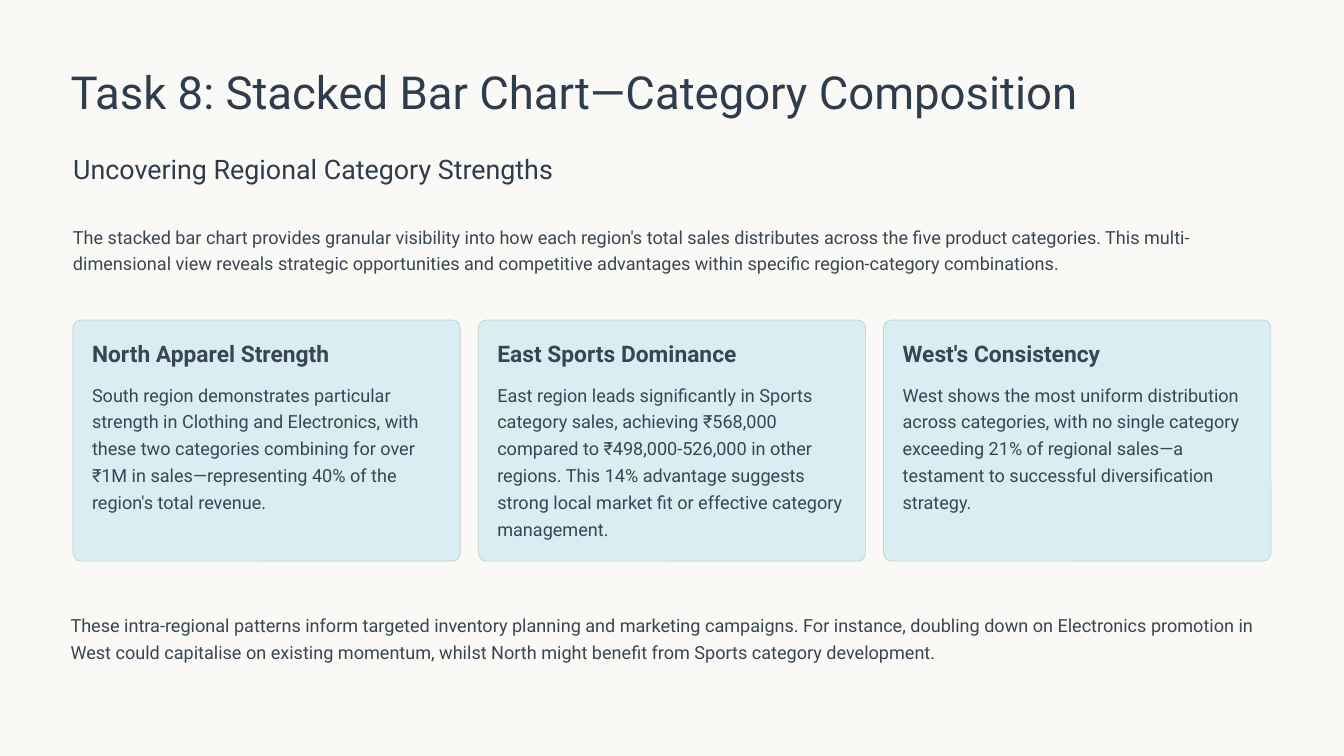
from pptx import Presentation
from pptx.dml.color import RGBColor
from pptx.enum.shapes import MSO_SHAPE
from pptx.enum.text import MSO_ANCHOR, MSO_AUTO_SIZE, PP_ALIGN
from pptx.util import Pt

FONT = "Roboto"
CREAM = RGBColor(0xFA, 0xF9, 0xF5)
NAVY = RGBColor(0x2E, 0x3C, 0x4E)
SLATE = RGBColor(0x38, 0x46, 0x53)
PALE_BLUE = RGBColor(0xD9, 0xED, 0xF2)
BORDER_BLUE = RGBColor(0xBF, 0xD3, 0xD8)

TITLE = "Task 8: Stacked Bar Chart—Category Composition"
SUBTITLE = "Uncovering Regional Category Strengths"
INTRO = (
    "The stacked bar chart provides granular visibility into how each region's total sales "
    "distributes across the five product categories. This multi-dimensional view reveals "
    "strategic opportunities and competitive advantages within specific region-category "
    "combinations."
)
CARDS = [
    ("North Apparel Strength",
     "South region demonstrates particular strength in Clothing and Electronics, with these "
     "two categories combining for over ₹1M in sales—representing 40% of the region's total "
     "revenue."),
    ("East Sports Dominance",
     "East region leads significantly in Sports category sales, achieving ₹568,000 compared "
     "to ₹498,000-526,000 in other regions. This 14% advantage suggests strong local market "
     "fit or effective category management."),
    ("West's Consistency",
     "West shows the most uniform distribution across categories, with no single category "
     "exceeding 21% of regional sales—a testament to successful diversification strategy."),
]
CLOSING = (
    "These intra-regional patterns inform targeted inventory planning and marketing campaigns. "
    "For instance, doubling down on Electronics promotion in West could capitalise on existing "
    "momentum, whilst North might benefit from Sports category development."
)


def write_text(shape, box, text, size, line_height, color, bold=False, wrap=True):
    """Place a text shape at box (left, top, width, height) and fill it."""
    shape.left, shape.top, shape.width, shape.height = [Pt(length) for length in box]
    frame = shape.text_frame
    frame.margin_left = frame.margin_top = frame.margin_right = frame.margin_bottom = 0
    frame.word_wrap = wrap
    frame.auto_size = MSO_AUTO_SIZE.NONE
    frame.vertical_anchor = MSO_ANCHOR.TOP
    paragraph = frame.paragraphs[0]
    paragraph.alignment = PP_ALIGN.LEFT
    paragraph.line_spacing = Pt(line_height)
    paragraph.space_before = Pt(0)
    run = paragraph.add_run()
    run.text = text
    run.font.name = FONT
    run.font.size = Pt(size)
    run.font.bold = bold
    run.font.color.rgb = color


def add_text(slide, box, *details, **options):
    write_text(slide.shapes.add_textbox(0, 0, 0, 0), box, *details, **options)


def add_body(slide, box, text):
    add_text(slide, box, text, 15.5, 23, SLATE)


def add_heading(slide, box):
    left, top, width, height = box
    write_text(slide.shapes.title, (left, top, width, 49), TITLE, 39, 48.5, NAVY, wrap=False)
    add_text(slide, (left + 2.2, top + 76.3, width, 29.5), SUBTITLE, 23, 29, NAVY, wrap=False)


def add_card(slide, box, heading, body):
    left, top, width, height = box
    card = slide.shapes.add_shape(
        MSO_SHAPE.ROUNDED_RECTANGLE, *[Pt(length) for length in box])
    card.adjustments[0] = 0.032
    card.shadow.inherit = False
    card.fill.solid()
    card.fill.fore_color.rgb = PALE_BLUE
    card.line.color.rgb = BORDER_BLUE
    card.line.width = Pt(0.6)

    padding = 16.3
    inner_left, inner_width = left + padding, width - 2 * padding
    add_text(slide, (inner_left, top + padding, inner_width, 24.5),
             heading, 19.5, 24, SLATE, bold=True, wrap=False)
    add_body(slide, (inner_left, top + 50.4, inner_width, 140), body)


def add_card_row(slide, box, cards, gap):
    left, top, width, height = box
    card_width = (width - gap * (len(cards) - 1)) / len(cards)
    for index, (heading, body) in enumerate(cards):
        card_left = left + index * (card_width + gap)
        add_card(slide, (card_left, top, card_width, height), heading, body)


def build_slide(presentation):
    slide = presentation.slides.add_slide(presentation.slide_layouts[5])
    # Background
    slide.background.fill.solid()
    slide.background.fill.fore_color.rgb = CREAM
    # Title and subtitle
    add_heading(slide, (60.5, 53.3, 903.6, 106))
    # Introduction
    add_body(slide, (62.6, 189.4, 1026.7, 47), INTRO)
    # Three region cards
    add_card_row(slide, (62.6, 274.4, 1026.8, 206.6), CARDS, 15.4)
    # Closing remark
    add_body(slide, (60.5, 522, 1026.7, 47), CLOSING)


def main():
    presentation = Presentation()
    presentation.slide_width = Pt(1152)
    presentation.slide_height = Pt(648)
    build_slide(presentation)
    presentation.save("out.pptx")


if __name__ == "__main__":
    main()
